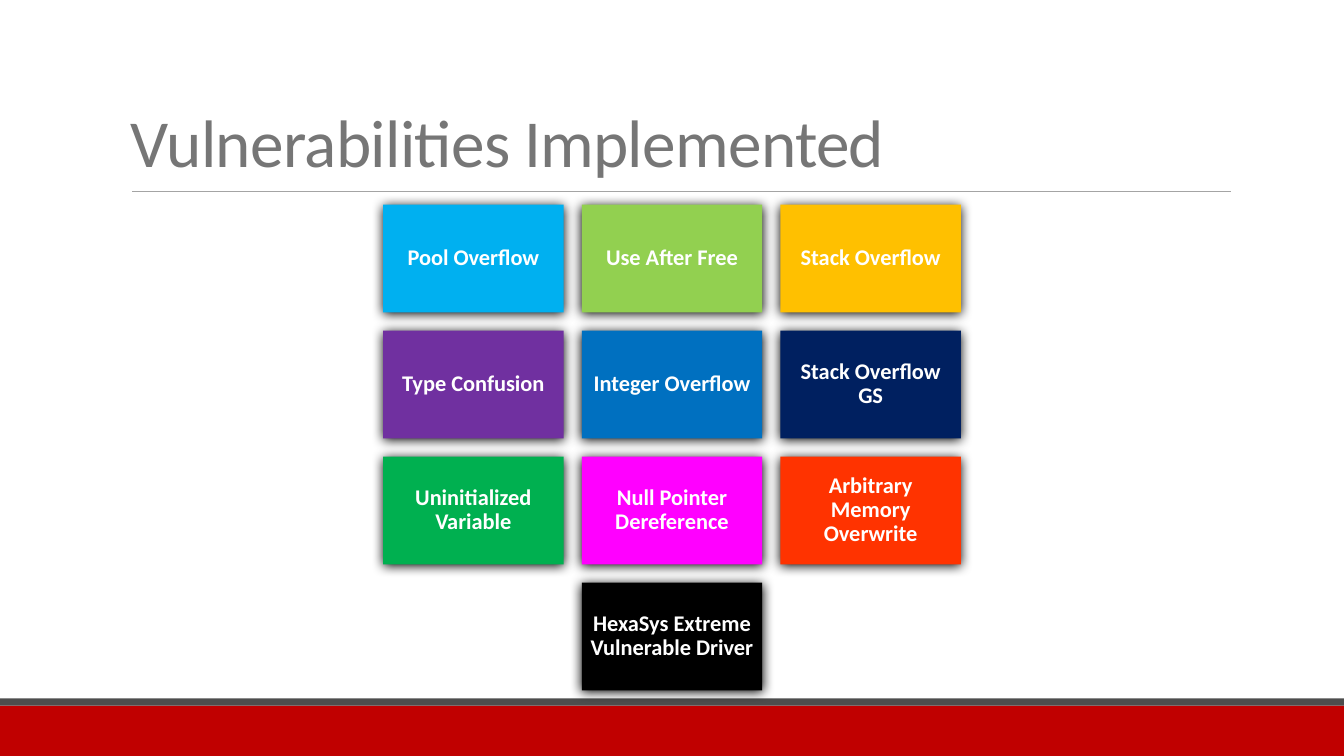
from dataclasses import dataclass

from lxml import etree
from pptx import Presentation
from pptx.dml.color import RGBColor
from pptx.enum.shapes import MSO_CONNECTOR, MSO_SHAPE
from pptx.enum.text import MSO_ANCHOR, PP_ALIGN
from pptx.oxml.ns import qn
from pptx.util import Inches, Pt

RECTANGLE = MSO_SHAPE.RECTANGLE
STRAIGHT = MSO_CONNECTOR.STRAIGHT
MIDDLE, BOTTOM = MSO_ANCHOR.MIDDLE, MSO_ANCHOR.BOTTOM
LEFT, CENTER = PP_ALIGN.LEFT, PP_ALIGN.CENTER


@dataclass(frozen=True)
class Theme:
    font: str = "Calibri"
    title_size: int = 48
    tile_size: int = 16
    title: str = "767676"
    rule: str = "A4A4A4"
    footer: str = "C00000"
    footer_edge: str = "4D4D4D"
    tile_text: str = "FFFFFF"
    shadow: str = "000000"


THEME = Theme()
SLIDE_WIDTH, SLIDE_HEIGHT = 13.33, 7.5

# Tile grid: rows are centred on the slide
TILE_WIDTH, TILE_HEIGHT = 1.79, 1.07
COLUMN_STEP, ROW_STEP = 1.97, 1.25
GRID_TOP = 2.03
TILE_ROWS = [
    [("Pool Overflow", "00B0F0"), ("Use After Free", "92D050"),
     ("Stack Overflow", "FFC000")],
    [("Type Confusion", "7030A0"), ("Integer Overflow", "0070C0"),
     ("Stack Overflow GS", "002060")],
    [("Uninitialized Variable", "00B050"), ("Null Pointer Dereference", "FF00FF"),
     ("Arbitrary Memory Overwrite", "FF3300")],
    [("HexaSys Extreme Vulnerable Driver", "000000")],
]


def rgb(value):
    return RGBColor.from_string(value)


def add_block(slide, left, top, width, height, color):
    block = slide.shapes.add_shape(
        RECTANGLE, Inches(left), Inches(top), Inches(width), Inches(height))
    block.shadow.inherit = False
    block.fill.solid()
    block.fill.fore_color.rgb = rgb(color)
    block.line.fill.background()
    return block


def write_text(shape, text, size, color, bold, align, anchor, spacing, inset):
    frame = shape.text_frame
    frame_format = {"word_wrap": True, "vertical_anchor": anchor}
    for side in ("left", "top", "right", "bottom"):
        frame_format[f"margin_{side}"] = Inches(inset)
    for name, value in frame_format.items():
        setattr(frame, name, value)
    paragraph = frame.paragraphs[0]
    paragraph.alignment = align
    paragraph.line_spacing = spacing
    run = paragraph.add_run()
    run.text = text
    for name, value in {"name": THEME.font, "size": Pt(size), "bold": bold}.items():
        setattr(run.font, name, value)
    run.font.color.rgb = rgb(color)
    return run


def add_glow_shadow(shape):
    effects = shape.element.spPr.find(qn("a:effectLst"))
    shadow = etree.SubElement(
        effects, qn("a:outerShdw"), blurRad=str(Pt(8.5)), dist=str(Pt(1)),
        dir=str(90 * 60000), algn="ctr", rotWithShape="0")
    etree.SubElement(shadow, qn("a:srgbClr"), val=THEME.shadow)


def add_title(slide, text):
    title = slide.shapes.add_textbox(
        Inches(1.2), Inches(0.31), Inches(11), Inches(1.59))
    run = write_text(title, text, THEME.title_size, THEME.title, False,
                     LEFT, BOTTOM, 0.85, 0.1)
    run.font._element.set("spc", "-50")


def add_rule(slide, left, right, top):
    rule = slide.shapes.add_connector(
        STRAIGHT, Inches(left), Inches(top), Inches(right), Inches(top))
    rule.line.color.rgb = rgb(THEME.rule)
    rule.line.width = Pt(0.5)
    etree.SubElement(rule.element.spPr, qn("a:effectLst"))


def add_tile(slide, left, top, label, color):
    tile = add_block(slide, left, top, TILE_WIDTH, TILE_HEIGHT, color)
    add_glow_shadow(tile)
    write_text(tile, label, THEME.tile_size, THEME.tile_text, True,
               CENTER, MIDDLE, 0.9, 0.07)


def add_tile_grid(slide):
    for row_index, row in enumerate(TILE_ROWS):
        row_width = (len(row) - 1) * COLUMN_STEP + TILE_WIDTH
        row_left = (SLIDE_WIDTH - row_width) / 2
        top = GRID_TOP + row_index * ROW_STEP
        for column, (label, color) in enumerate(row):
            add_tile(slide, row_left + column * COLUMN_STEP, top, label, color)


def main():
    deck = Presentation()
    deck.slide_width, deck.slide_height = Inches(SLIDE_WIDTH), Inches(SLIDE_HEIGHT)
    slide = deck.slides.add_slide(deck.slide_layouts[6])

    # Footer bands
    add_block(slide, 0, 7, SLIDE_WIDTH, 0.5, THEME.footer)
    add_block(slide, 0, 6.93, SLIDE_WIDTH, 0.07, THEME.footer_edge)

    # Heading
    add_rule(slide, 1.31, 12.21, 1.9)
    add_title(slide, "Vulnerabilities Implemented")

    # Vulnerability tiles
    add_tile_grid(slide)

    deck.save("out.pptx")


if __name__ == "__main__":
    main()
